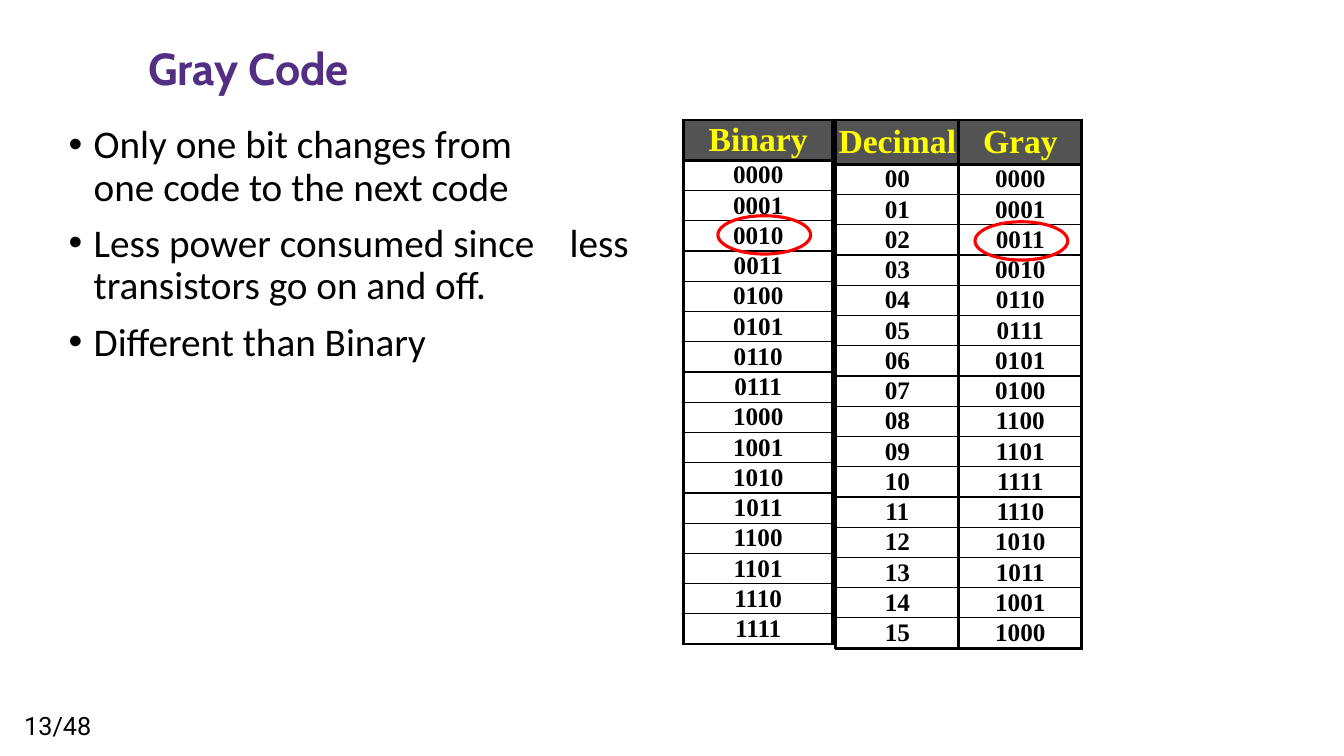
from lxml.etree import SubElement
from pptx import Presentation
from pptx.dml.color import RGBColor
from pptx.enum.shapes import MSO_SHAPE
from pptx.enum.text import MSO_ANCHOR, MSO_AUTO_SIZE, PP_ALIGN
from pptx.oxml.ns import qn
from pptx.util import Inches, Pt

PURPLE = RGBColor(0x53, 0x2F, 0x84)
BLACK = RGBColor(0, 0, 0)
YELLOW = RGBColor(0xFF, 0xFF, 0)
DARK_GRAY = RGBColor(0x53, 0x53, 0x53)
RED = RGBColor(0xFF, 0, 0)
THICK, THIN = 2.25, 1
CODE_COUNT = 16
ROW_HEIGHT = 0.3
BULLETS = [
    ["Only one bit changes from", "one code to the next code"],
    ["Less power consumed since\tless transistors go on and off."],
    ["Different than Binary"],
]


def add_run(paragraph, text, font, size, color, bold=False):
    """Add one formatted run to a paragraph."""
    run = paragraph.add_run()
    run.text = text
    run.font.name = font
    run.font.size = Pt(size)
    run.font.color.rgb = color
    run.font.bold = bold


def prepare_frame(shape):
    """Give a text shape small even margins and wrapping, and return its frame."""
    frame = shape.text_frame
    frame.word_wrap = True
    frame.auto_size = MSO_AUTO_SIZE.NONE
    frame.margin_left = frame.margin_right = Inches(0.05)
    frame.margin_top = frame.margin_bottom = Inches(0.05)
    return frame


def add_title(slide, left, top, width, height):
    """Place and format the slide title."""
    title = slide.shapes.title
    title.left, title.top = Inches(left), Inches(top)
    title.width, title.height = Inches(width), Inches(height)
    frame = prepare_frame(title)
    frame.vertical_anchor = MSO_ANCHOR.MIDDLE
    paragraph = frame.paragraphs[0]
    paragraph.alignment = PP_ALIGN.LEFT
    paragraph.line_spacing = 0.9
    add_run(paragraph, "Gray Code", "Cabin", 32, PURPLE, True)


def format_bullet(paragraph):
    """Give a paragraph a hanging bullet and a tab stop."""
    paragraph.line_spacing = 0.9
    paragraph.space_before = Pt(10)
    properties = paragraph._p.get_or_add_pPr()
    properties.set("marL", str(Inches(0.25)))
    properties.set("indent", str(-Inches(0.25)))
    SubElement(properties, qn("a:buFont"), typeface="Arial")
    SubElement(properties, qn("a:buChar"), char="•")
    stops = SubElement(properties, qn("a:tabLst"))
    SubElement(stops, qn("a:tab"), pos=str(Inches(4.97)), algn="l")


def add_bullets(slide, left, top, width, height):
    """Place the bulleted list."""
    box = slide.shapes.add_textbox(*map(Inches, (left, top, width, height)))
    frame = prepare_frame(box)
    for index, lines in enumerate(BULLETS):
        paragraph = frame.add_paragraph() if index else frame.paragraphs[0]
        format_bullet(paragraph)
        for number, line in enumerate(lines):
            if number:
                paragraph.add_line_break()
            add_run(paragraph, line, "Calibri", 28, BLACK)


def set_borders(cell, top, bottom):
    """Draw thick side borders and the given top and bottom borders."""
    properties = cell._tc.get_or_add_tcPr()
    sides = {"lnL": THICK, "lnR": THICK, "lnT": top, "lnB": bottom}
    for index, (side, width) in enumerate(sides.items()):
        line = SubElement(properties, qn(f"a:{side}"), w=str(Pt(width)))
        fill = SubElement(line, qn("a:solidFill"))
        SubElement(fill, qn("a:srgbClr"), val=str(BLACK))
        properties.insert(index, line)


def fill_cell(cell, text, is_header):
    """Write and format one table cell."""
    cell.margin_left = cell.margin_right = 0
    cell.margin_top = cell.margin_bottom = 0
    cell.vertical_anchor = MSO_ANCHOR.MIDDLE
    paragraph = cell.text_frame.paragraphs[0]
    paragraph.alignment = PP_ALIGN.CENTER
    size, color = (24, YELLOW) if is_header else (18, BLACK)
    add_run(paragraph, text, "Times New Roman", size, color, True)
    if is_header:
        cell.fill.solid()
        cell.fill.fore_color.rgb = DARK_GRAY
    else:
        cell.fill.background()


def add_code_table(slide, left, top, column_width, header_height, columns):
    """Place a table whose columns map a heading to its codes."""
    height = header_height + CODE_COUNT * ROW_HEIGHT
    frame = slide.shapes.add_table(
        CODE_COUNT + 1, len(columns), Inches(left), Inches(top),
        Inches(column_width * len(columns)), Inches(height))
    table = frame.table
    for row in table.rows:
        row.height = Inches(ROW_HEIGHT)
    table.rows[0].height = Inches(header_height)
    for column, (heading, codes) in enumerate(columns.items()):
        table.columns[column].width = Inches(column_width)
        for row, text in enumerate([heading, *codes]):
            cell = table.cell(row, column)
            fill_cell(cell, text, row == 0)
            set_borders(cell, THICK if row < 2 else THIN,
                        THICK if row in (0, CODE_COUNT) else THIN)


def add_highlight(slide, left, top, width=0.92, height=0.38):
    """Ring a code with a red ellipse."""
    ring = slide.shapes.add_shape(
        MSO_SHAPE.OVAL, *map(Inches, (left, top, width, height)))
    ring.shadow.inherit = False
    ring.fill.background()
    ring.line.color.rgb = RED
    ring.line.width = Pt(THICK)


def add_page_number(slide, left, top, width, height):
    """Place the page count."""
    box = slide.shapes.add_textbox(*map(Inches, (left, top, width, height)))
    paragraph = prepare_frame(box).paragraphs[0]
    add_run(paragraph, "13/48", "Roboto", 18, BLACK)


def build_slide(presentation):
    """Build the Gray code slide."""
    slide = presentation.slides.add_slide(presentation.slide_layouts[5])
    numbers = range(CODE_COUNT)
    binary = {"Binary": [f"{n:04b}" for n in numbers]}
    gray = {
        "Decimal": [f"{n:02d}" for n in numbers],
        "Gray": [f"{n ^ (n >> 1):04b}" for n in numbers],
    }
    add_page_number(slide, 0.19, 7, 0.88, 0.4)
    add_title(slide, 1.42, 0.47, 11.55, 0.46)
    add_bullets(slide, 0.63, 1.19, 5.93, 3.42)
    add_code_table(slide, 6.78, 1.19, 1.48, 0.4, binary)
    add_code_table(slide, 8.29, 1.19, 1.22, 0.44, gray)
    add_highlight(slide, 7.12, 2.14)
    add_highlight(slide, 9.67, 2.2)


def main():
    """Create and save the presentation."""
    presentation = Presentation()
    presentation.slide_width = Inches(13.33)
    presentation.slide_height = Inches(7.5)
    build_slide(presentation)
    presentation.save("out.pptx")


if __name__ == "__main__":
    main()
